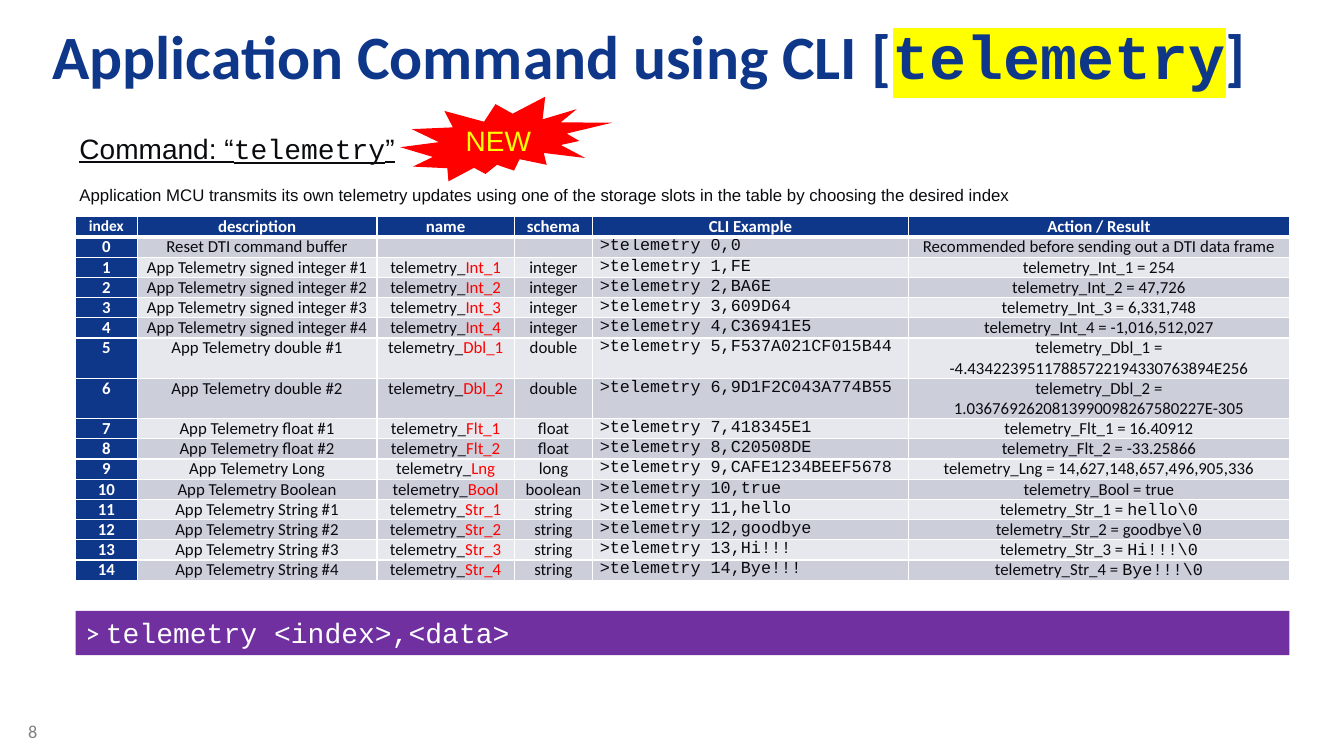
"""Build the slide describing the telemetry CLI command."""
from dataclasses import dataclass

from lxml import etree
from pptx import Presentation
from pptx.dml.color import RGBColor
from pptx.enum.shapes import MSO_SHAPE
from pptx.enum.text import MSO_ANCHOR, PP_ALIGN
from pptx.oxml.ns import qn
from pptx.util import Inches, Pt

RECT, BURST = MSO_SHAPE.RECTANGLE, MSO_SHAPE.EXPLOSION2
TOP, MIDDLE = MSO_ANCHOR.TOP, MSO_ANCHOR.MIDDLE
LEFT, CENTER = PP_ALIGN.LEFT, PP_ALIGN.CENTER
SANS, BODY, MONO = "Arial", "Calibri", "Courier New"
NAVY = RGBColor(0x0E, 0x36, 0x89)
INK = RGBColor(0x0A, 0x0B, 0x0F)
WHITE = RGBColor(0xFF, 0xFF, 0xFF)
RED = RGBColor(0xFF, 0x00, 0x00)
YELLOW = RGBColor(0xFF, 0xFF, 0x00)
PURPLE = RGBColor(0x70, 0x30, 0xA0)
GRAY = RGBColor(0x80, 0x80, 0x80)
BANDS = (RGBColor(0xCC, 0xCE, 0xDA), RGBColor(0xE7, 0xE8, 0xED))

COLUMN_WIDTHS = (0.61, 2.38, 1.36, 0.78, 3.13, 3.78)
ROW_HEIGHT = 0.2
HEADERS = ("index", "description", "name", "schema", "CLI Example", "Action / Result")


@dataclass
class Run:
    text: str
    font: str = BODY
    size: float = 12
    color: RGBColor = INK
    bold: bool = False
    underline: bool = False
    highlight: RGBColor | None = None


@dataclass
class Slot:
    description: str
    suffix: str
    schema: str
    data: str
    result: str
    mono_result: str = ""


SLOTS = (
    Slot("Reset DTI command buffer", "", "", "0", "Recommended before sending out a DTI data frame"),
    Slot("App Telemetry signed integer #1", "Int_1", "integer", "FE", " 254"),
    Slot("App Telemetry signed integer #2", "Int_2", "integer", "BA6E", " 47,726"),
    Slot("App Telemetry signed integer #3", "Int_3", "integer", "609D64", " 6,331,748"),
    Slot("App Telemetry signed integer #4", "Int_4", "integer", "C36941E5", " -1,016,512,027"),
    Slot("App Telemetry double #1", "Dbl_1", "double", "F537A021CF015B44",
         "\n-4.43422395117885722194330763894E256"),
    Slot("App Telemetry double #2", "Dbl_2", "double", "9D1F2C043A774B55",
         "\n1.0367692620813990098267580227E-305"),
    Slot("App Telemetry float #1", "Flt_1", "float", "418345E1", " 16.40912"),
    Slot("App Telemetry float #2", "Flt_2", "float", "C20508DE", " -33.25866"),
    Slot("App Telemetry Long", "Lng", "long", "CAFE1234BEEF5678", " 14,627,148,657,496,905,336"),
    Slot("App Telemetry Boolean", "Bool", "boolean", "true", " true"),
    Slot("App Telemetry String #1", "Str_1", "string", "hello", " ", "hello\\0"),
    Slot("App Telemetry String #2", "Str_2", "string", "goodbye", " goodbye", "\\0"),
    Slot("App Telemetry String #3", "Str_3", "string", "Hi!!!", " ", "Hi!!!\\0"),
    Slot("App Telemetry String #4", "Str_4", "string", "Bye!!!", " ", "Bye!!!\\0"),
)


def add_runs(p, runs: list[Run], align=LEFT) -> None:
    """Fill a paragraph with formatted runs."""
    p.alignment = align
    for run in runs:
        r = p.add_run()
        r.text = run.text
        font = r.font
        font.name, font.size = run.font, Pt(run.size)
        font.bold, font.underline = run.bold, run.underline
        font.color.rgb = run.color
        if run.highlight is not None:
            mark = etree.Element(qn("a:highlight"))
            etree.SubElement(mark, qn("a:srgbClr"), val=str(run.highlight))
            r._r.rPr.find(qn("a:solidFill")).addnext(mark)
    if not runs:
        etree.SubElement(p._p, qn("a:endParaRPr"), sz="1200")


def add_text(slide, box: tuple, runs: list[Run], inset: tuple = (0.1, 0.05)):
    """Add a wrapping text box and return its text frame."""
    sp = slide.shapes.add_textbox(*map(Inches, box))
    tf = sp.text_frame
    tf.word_wrap = True
    tf.vertical_anchor = TOP
    tf.margin_left = tf.margin_right = Inches(inset[0])
    tf.margin_top = tf.margin_bottom = Inches(inset[1])
    add_runs(tf.paragraphs[0], runs)
    return tf


def add_filled(slide, kind, box: tuple, fill: RGBColor, runs: list[Run], align, anchor) -> None:
    """Add a borderless filled shape with text."""
    sp = slide.shapes.add_shape(kind, *map(Inches, box))
    sp.shadow.inherit = False
    sp.fill.solid()
    sp.fill.fore_color.rgb = fill
    sp.line.fill.background()
    sp.text_frame.word_wrap = True
    sp.text_frame.vertical_anchor = anchor
    add_runs(sp.text_frame.paragraphs[0], runs, align)


def fill_cell(cell, fill: RGBColor, lines: list[list[Run]], align=CENTER, bottom: float = 1) -> None:
    """Give a table cell its borders, fill and text."""
    tc_pr = cell._tc.get_or_add_tcPr()
    for side, width in (("L", 1), ("R", 1), ("T", 1), ("B", bottom)):
        ln = etree.SubElement(tc_pr, qn(f"a:ln{side}"), w=str(Pt(width)))
        solid = etree.SubElement(ln, qn("a:solidFill"))
        etree.SubElement(solid, qn("a:srgbClr"), val=str(WHITE))
    cell.fill.solid()
    cell.fill.fore_color.rgb = fill
    cell.margin_left = cell.margin_right = Inches(0.07)
    cell.margin_top = cell.margin_bottom = 0
    tf = cell.text_frame
    for i, runs in enumerate(lines):
        add_runs(tf.add_paragraph() if i else tf.paragraphs[0], runs, align)


def slot_cells(index: int, slot: Slot) -> list[list[list[Run]]]:
    """Return the lines of each cell after the index."""
    label = f"telemetry_{slot.suffix} =" if slot.suffix else ""
    result = [[Run(line)] for line in (label + slot.result).split("\n")]
    if slot.mono_result:
        result[-1].append(Run(slot.mono_result, MONO))
    name = [Run("telemetry_"), Run(slot.suffix, color=RED)] if slot.suffix else []
    schema = [Run(slot.schema)] if slot.schema else []
    example = Run(f">telemetry {index},{slot.data}", MONO)
    return [[[Run(slot.description)]], [name], [schema], [[example]], result]


def add_slot_table(slide) -> None:
    """Add the table of storage slots."""
    rows = len(SLOTS) + 1
    table = slide.shapes.add_table(rows, len(HEADERS), Inches(0.75), Inches(2.15),
                                   Inches(12.04), Inches(ROW_HEIGHT * rows)).table
    for column, width in zip(table.columns, COLUMN_WIDTHS):
        column.width = Inches(width)
    for col, header in enumerate(HEADERS):
        run = Run(header, size=12 if col else 11, color=WHITE, bold=True)
        fill_cell(table.cell(0, col), NAVY, [[run]], bottom=3)
    for index, slot in enumerate(SLOTS):
        row = index + 1
        fill_cell(table.cell(row, 0), NAVY, [[Run(str(index), color=WHITE, bold=True)]])
        for col, lines in enumerate(slot_cells(index, slot), 1):
            align = LEFT if HEADERS[col] == "CLI Example" else CENTER
            fill_cell(table.cell(row, col), BANDS[index % 2], lines, align)


def main() -> None:
    """Build and save the presentation."""
    prs = Presentation()
    prs.slide_width, prs.slide_height = Inches(13.33), Inches(7.5)
    slide = prs.slides.add_slide(prs.slide_layouts[6])
    add_text(slide, (0.18, 7.1, 0.59, 0.4), [Run("8", size=13, color=GRAY)])
    add_text(slide, (0.39, 0.11, 12.47, 0.85), [
        Run("Application Command using CLI [", BODY, 44, NAVY, True),
        Run("telemetry", MONO, 44, NAVY, True, highlight=YELLOW),
        Run("]", BODY, 44, NAVY, True),
    ], (0.13, 0.07))
    add_slot_table(slide)
    tf = add_text(slide, (0.69, 1.22, 9.47, 0.93), [
        Run("Command: “", SANS, 20, underline=True),
        Run("telemetry", MONO, 20, underline=True),
        Run("”", SANS, 20, underline=True),
    ], (0.1, 0.08))
    p = tf.add_paragraph()
    p.space_before = Pt(14)
    add_runs(p, [Run("Application MCU transmits its own telemetry updates using one of the "
                     "storage slots in the table by choosing the desired index", SANS)])
    add_filled(slide, RECT, (0.75, 6.06, 12.04, 0.44), PURPLE, [
        Run("> ", BODY, 20, WHITE),
        Run("telemetry <index>,<data>", MONO, 20, WHITE),
    ], LEFT, TOP)
    add_filled(slide, BURST, (3.97, 0.96, 2.1, 0.84), RED,
               [Run("NEW", SANS, 20, YELLOW)], CENTER, MIDDLE)
    prs.save("out.pptx")


if __name__ == "__main__":
    main()
